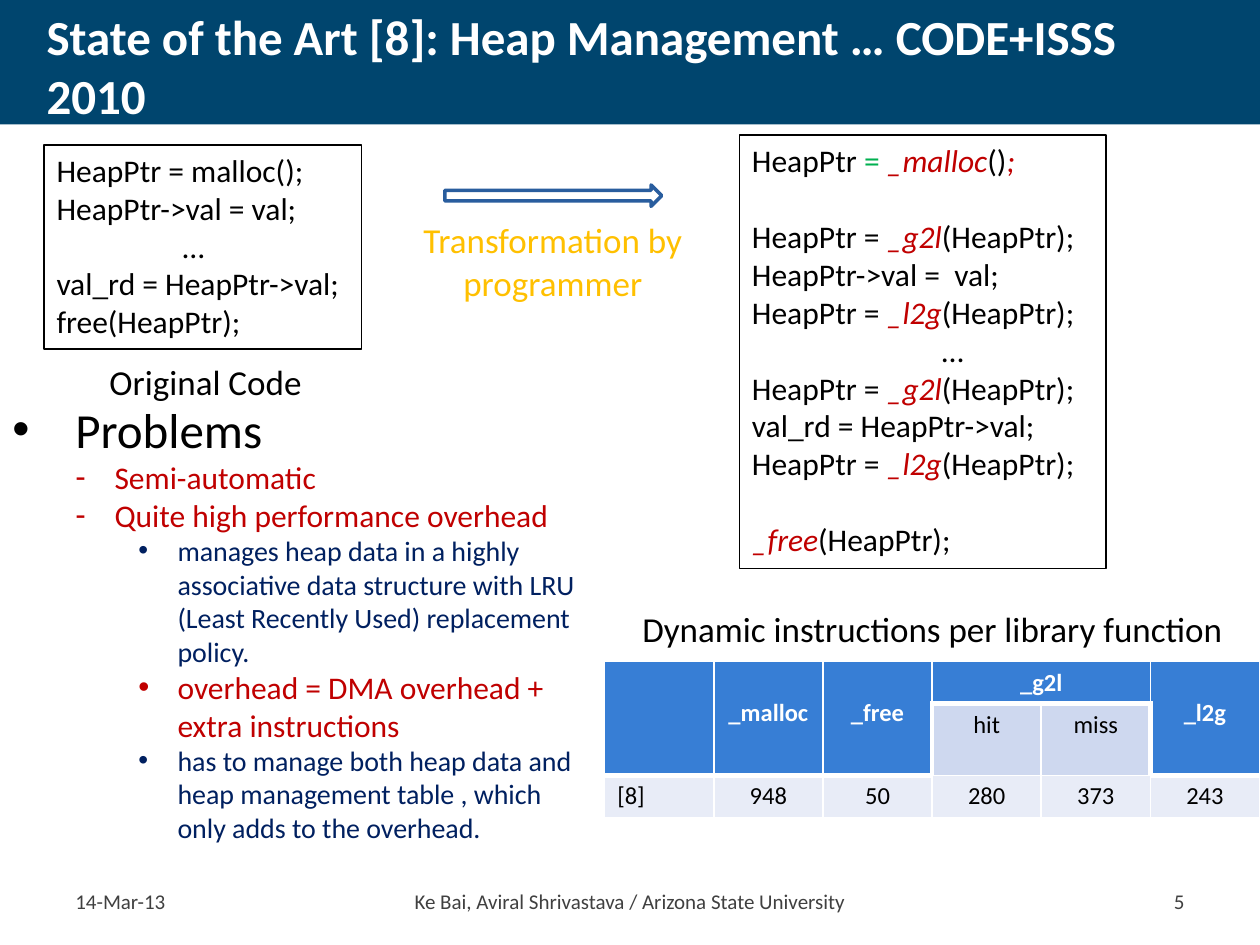
from lxml.etree import SubElement
from pptx import Presentation
from pptx.dml.color import RGBColor
from pptx.enum.shapes import MSO_SHAPE
from pptx.enum.text import MSO_ANCHOR, PP_ALIGN
from pptx.oxml import parse_xml
from pptx.oxml.ns import nsdecls, qn
from pptx.util import Cm, Pt

BLACK, WHITE, RED, NAVY = "000000", "FFFFFF", "C00000", "002060"
CALL = {"color": RED, "italic": True}
CENTER = {"alignment": PP_ALIGN.CENTER}
BLANK_LINE = {"space_before": Pt(22)}


def rgb(value):
    return RGBColor.from_string(value)


def add_run(paragraph, text, style):
    run = paragraph.add_run()
    run.text = text
    values = {"name": "Calibri", "size": 18, "color": BLACK, **style}
    run.font.color.rgb = rgb(values.pop("color"))
    values["size"] = Pt(values["size"])
    for name, value in values.items():
        setattr(run.font, name, value)


def set_indent(paragraph, left, first=0, bullet=None):
    properties = paragraph._p.get_or_add_pPr()
    properties.set("marL", str(Cm(left)))
    properties.set("indent", str(Cm(first)))
    if bullet:
        SubElement(properties, qn("a:buFont"), typeface="Arial")
        SubElement(properties, qn("a:buChar"), char=bullet)


def fill_text(frame, paragraphs, style=None):
    """Each paragraph is (runs, layout); a run is a string or (string, style)."""
    for index, (runs, layout) in enumerate(paragraphs):
        paragraph = frame.add_paragraph() if index else frame.paragraphs[0]
        layout = dict(layout)
        indent = layout.pop("indent", None)
        for name, value in layout.items():
            setattr(paragraph, name, value)
        if indent:
            set_indent(paragraph, *indent)
        for run in runs:
            text, extra = (run, {}) if isinstance(run, str) else run
            add_run(paragraph, text, {**(style or {}), **extra})


def add_text(slide, box, paragraphs, style=None, anchor=MSO_ANCHOR.TOP):
    shape = slide.shapes.add_textbox(*map(Cm, box))
    shape.text_frame.word_wrap = True
    shape.text_frame.vertical_anchor = anchor
    fill_text(shape.text_frame, paragraphs, style)
    return shape


def add_label(slide, box, text, color=BLACK):
    add_text(slide, box, [([text], CENTER)], {"size": 20, "color": color})


def add_code(slide, box, paragraphs):
    shape = add_text(slide, box, paragraphs)
    shape.line.color.rgb = rgb(BLACK)
    shape.line.width = Pt(1)


def add_plain_shape(slide, kind, box, fill=None, line=None):
    shape = slide.shapes.add_shape(kind, *map(Cm, box))
    shape.shadow.inherit = False
    if fill:
        shape.fill.solid()
        shape.fill.fore_color.rgb = rgb(fill)
    else:
        shape.fill.background()
    if line:
        shape.line.color.rgb = rgb(line)
        shape.line.width = Pt(2)
    else:
        shape.line.fill.background()


def style_cell(cell, fill, **borders):
    """Border widths in points by side (L, R, T, B), 1 unless given."""
    cell.fill.solid()
    cell.fill.fore_color.rgb = rgb(fill)
    for index, side in enumerate("LRTB"):
        width = Pt(borders.get(side, 1))
        cell._tc.get_or_add_tcPr().insert(index, parse_xml(
            f'<a:ln{side} {nsdecls("a")} w="{width}"><a:solidFill>'
            f'<a:srgbClr val="{WHITE}"/></a:solidFill></a:ln{side}>'))


def add_instruction_table(slide):
    columns, rows = [2.2] * 6, [0.84, 1.44, 0.84]
    box = (12.19, 13.34, sum(columns), sum(rows))
    table = slide.shapes.add_table(3, 6, *map(Cm, box)).table
    for column, width in zip(table.columns, columns):
        column.width = Cm(width)
    for row, height in zip(table.rows, rows):
        row.height = Cm(height)

    # Header cells span two rows, except the group above hit and miss
    for column in (0, 1, 2, 5):
        table.cell(0, column).merge(table.cell(1, column))
    table.cell(0, 3).merge(table.cell(0, 4))

    contents = [["", "_malloc", "_free", "_g2l", "", "_l2g"],
                ["", "", "", "hit", "miss", ""],
                ["[8]", "948", "50", "280", "373", "243"]]
    for row, texts in enumerate(contents):
        for column, text in enumerate(texts):
            cell = table.cell(row, column)
            grouped = column in (3, 4)
            if row == 2:
                style_cell(cell, "E8ECF7", T=1 if grouped else 3)
            elif row == 1 and grouped:
                outer = "L" if column == 3 else "R"
                style_cell(cell, "CED8EF", T=3, **{outer: 3})
            else:
                style_cell(cell, "377ED5", B=3)
            if text:
                layout = {} if text == "[8]" else dict(CENTER)
                if row == 0 and not grouped:
                    layout["line_spacing"] = 2.0
                style = {"size": 14, "bold": row == 0,
                         "color": BLACK if row else WHITE}
                fill_text(cell.text_frame, [([text], layout)], style)


def add_problems(slide):
    levels = [(1.27, -1.27, "•"), (2.06, -0.79, "-"), (3.33, -0.79, "•")]
    items = [
        (0, 28, BLACK, "Problems"),
        (1, 18, RED, "Semi-automatic"),
        (1, 18, RED, "Quite high performance overhead"),
        (2, 16, NAVY, "manages heap data in a highly associative data structure "
                      "with LRU (Least Recently Used) replacement policy."),
        (2, 18, RED, "overhead = DMA overhead + extra instructions"),
        (2, 16, NAVY, "has to manage both heap data and heap management table , "
                      "which only adds to the overhead."),
    ]
    add_text(slide, (0, 7.92, 12.09, 9.32), [
        ([(text, {"size": size, "color": color})],
         {"level": level, "indent": levels[level]})
        for level, size, color, text in items])


def add_footer(slide):
    parts = [(1.27, 3.02, PP_ALIGN.LEFT, "14-Mar-13"),
             (4.7, 16, PP_ALIGN.CENTER,
              "Ke Bai, Aviral Shrivastava / Arizona State University"),
             (21.11, 3.02, PP_ALIGN.RIGHT, "5")]
    for left, width, alignment, text in parts:
        add_text(slide, (left, 17.65, width, 1.02),
                 [([text], {"alignment": alignment})],
                 {"size": 12, "color": "404040"}, MSO_ANCHOR.MIDDLE)


def main():
    presentation = Presentation()
    presentation.slide_width, presentation.slide_height = Cm(25.4), Cm(19.05)
    slide = presentation.slides.add_slide(presentation.slide_layouts[6])

    # Title bar and footer
    add_plain_shape(slide, MSO_SHAPE.RECTANGLE, (0, 0, 25.4, 2.51), fill="00456E")
    add_text(slide, (0.69, 0.25, 24, 2.13),
             [(["State of the Art [8]: Heap Management … CODE+ISSS 2010"], {})],
             {"size": 28, "bold": True, "color": WHITE}, MSO_ANCHOR.MIDDLE)
    add_footer(slide)

    # Code before the transformation
    add_code(slide, (0.89, 2.92, 6.4, 4.11), [
        (["HeapPtr = malloc();"], {}),
        (["HeapPtr->val = val;"], {}),
        (["…"], {"indent": (2.54,)}),
        (["val_rd = HeapPtr->val;"], {}),
        (["free(HeapPtr);"], {})])
    add_label(slide, (1.07, 7.14, 6.15, 1.12), "Original Code")

    # Transformation arrow
    add_label(slide, (8.15, 4.29, 5.99, 1.96), "Transformation by programmer", "FFC000")
    add_plain_shape(slide, MSO_SHAPE.RIGHT_ARROW, (8.97, 3.73, 4.37, 0.43), line="295D9E")

    # Code after the transformation
    to_local, to_global = (["HeapPtr = ", (name, CALL), "(HeapPtr);"]
                           for name in ("_g2l", "_l2g"))
    add_code(slide, (14.91, 2.72, 7.39, 8.74), [
        (["HeapPtr ", ("= ", {"color": "00B050"}), ("_malloc", CALL), "()", (";", CALL)], {}),
        (to_local, BLANK_LINE),
        (["HeapPtr->val =  val;"], {}),
        (to_global, {}),
        (["…"], {"indent": (3.83,)}),
        (to_local, {}),
        (["val_rd = HeapPtr->val;"], {}),
        (to_global, {}),
        ([("_free", CALL), "(HeapPtr);"], BLANK_LINE)])

    # Problems and measurements
    add_problems(slide)
    add_instruction_table(slide)
    add_label(slide, (12.5, 12.12, 12.6, 1.12), "Dynamic instructions per library function")

    presentation.save("out.pptx")


if __name__ == "__main__":
    main()
